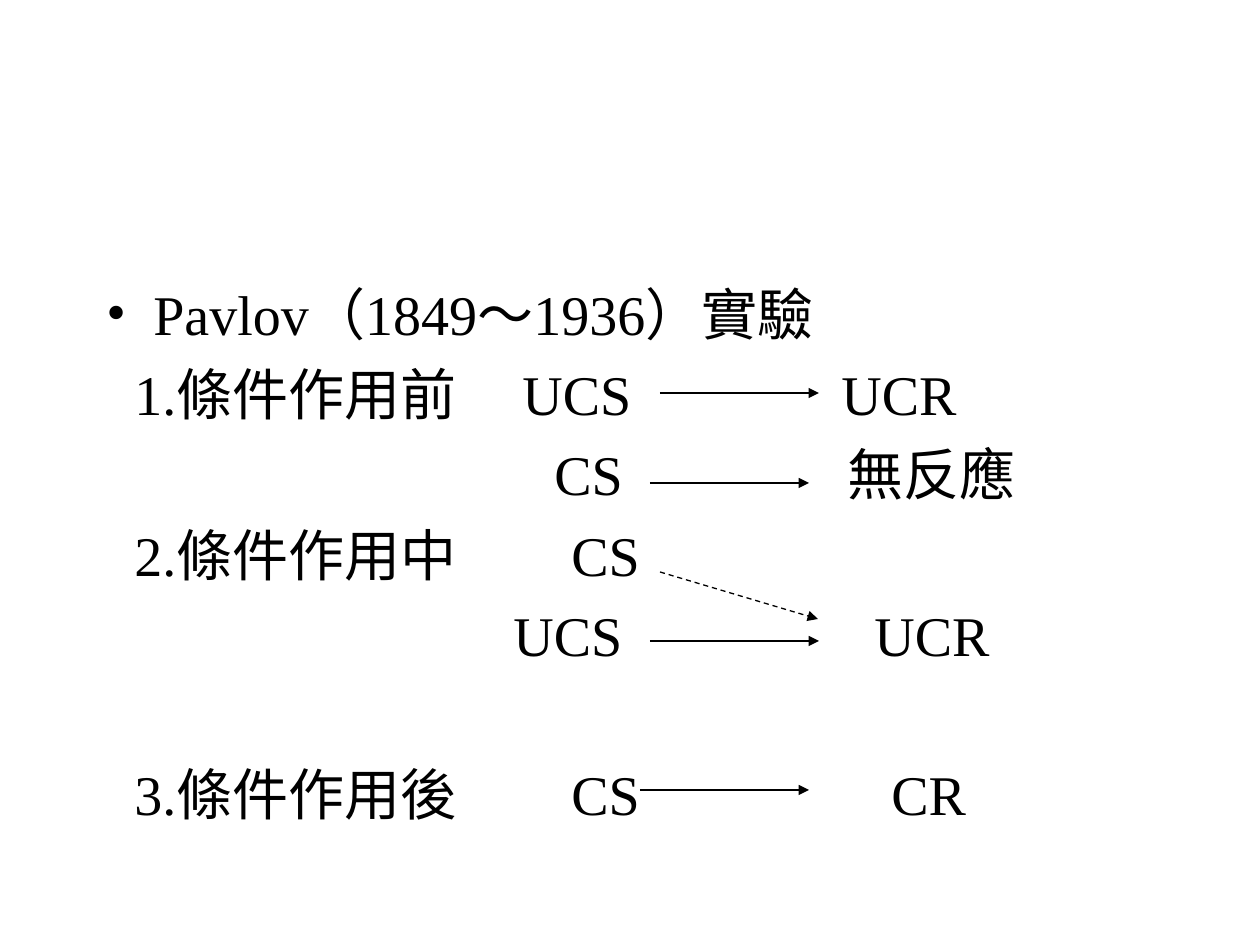
import pptx
import pptx.util
import pptx.dml.color
import pptx.enum.dml
import pptx.enum.shapes
from lxml import etree
from pptx.oxml.ns import qn

PX = 914400 // 126  # EMU per px
BLACK = pptx.dml.color.RGBColor(0, 0, 0)
LATIN_FONT = "Times New Roman"
CHINESE_FONT = "Noto Sans CJK TC"
TEXT_SIZE = pptx.util.Pt(32)
ROW_GAP = 7.5  # points
EMPTY_ROW = 45  # points

BOX = (94, 273, 1071, 672)
TEXT_LEFT = 107
BULLET_INDENT = 47

# Each row: gap before in points, then (x, text) cells
ROWS = [
    (ROW_GAP, [(135, "1.條件作用前"), (523, "UCS"), (842, "UCR")]),
    (ROW_GAP, [(555, "CS"), (848, "無反應")]),
    (ROW_GAP, [(135, "2.條件作用中"), (572, "CS")]),
    (ROW_GAP, [(514, "UCS"), (875, "UCR")]),
    (ROW_GAP + EMPTY_ROW, [(135, "3.條件作用後"), (572, "CS"), (892, "CR")]),
]

# Each arrow: start x, start y, end x, end y, dashed
ARROWS = [
    (660, 393, 819, 393, False),
    (650, 483, 809, 483, False),
    (650, 641, 819, 641, False),
    (640, 790, 809, 790, False),
    (660, 572, 818, 619, True),
]


def px(*lengths):
    return [pptx.util.Emu(length * PX) for length in lengths]


def style(para):
    para.font.size = TEXT_SIZE
    para.font.name = LATIN_FONT
    para.font.color.rgb = BLACK
    etree.SubElement(para.font._element, qn("a:ea"), typeface=CHINESE_FONT)


def add_bullet(para, text):
    properties = para._p.get_or_add_pPr()
    properties.set("marL", str(BULLET_INDENT * PX))
    properties.set("indent", str(-BULLET_INDENT * PX))
    etree.SubElement(properties, qn("a:buFont"), typeface=LATIN_FONT)
    etree.SubElement(properties, qn("a:buChar"), char="•")
    style(para)
    para.add_run().text = text


def add_row(para, gap, cells):
    para.space_before = pptx.util.Pt(gap)
    properties = para._p.get_or_add_pPr()
    tabs = etree.SubElement(properties, qn("a:tabLst"))
    for x, _ in cells:
        etree.SubElement(tabs, qn("a:tab"), pos=str((x - TEXT_LEFT) * PX), algn="l")
    style(para)
    para.add_run().text = "".join("\t" + text for _, text in cells)


def add_arrow(page, x1, y1, x2, y2, dashed):
    arrow = page.shapes.add_connector(
        pptx.enum.shapes.MSO_CONNECTOR.STRAIGHT, *px(x1, y1, x2, y2))
    arrow.line.color.rgb = BLACK
    arrow.line.width = pptx.util.Pt(0.75)
    if dashed:
        arrow.line.dash_style = pptx.enum.dml.MSO_LINE.DASH
    etree.SubElement(arrow.line._get_or_add_ln(), qn("a:tailEnd"), type="triangle")
    etree.SubElement(arrow._element.spPr, qn("a:effectLst"))


def main():
    deck = pptx.Presentation()
    deck.slide_width, deck.slide_height = px(1260, 945)
    page = deck.slides.add_slide(deck.slide_layouts[6])

    # Experiment outline
    frame = page.shapes.add_textbox(*px(*BOX)).text_frame
    frame.word_wrap = True
    add_bullet(frame.paragraphs[0], "Pavlov（1849～1936）實驗")
    for gap, cells in ROWS:
        add_row(frame.add_paragraph(), gap, cells)

    # Stimulus to response arrows
    for arrow in ARROWS:
        add_arrow(page, *arrow)

    deck.save("out.pptx")


if __name__ == "__main__":
    main()
